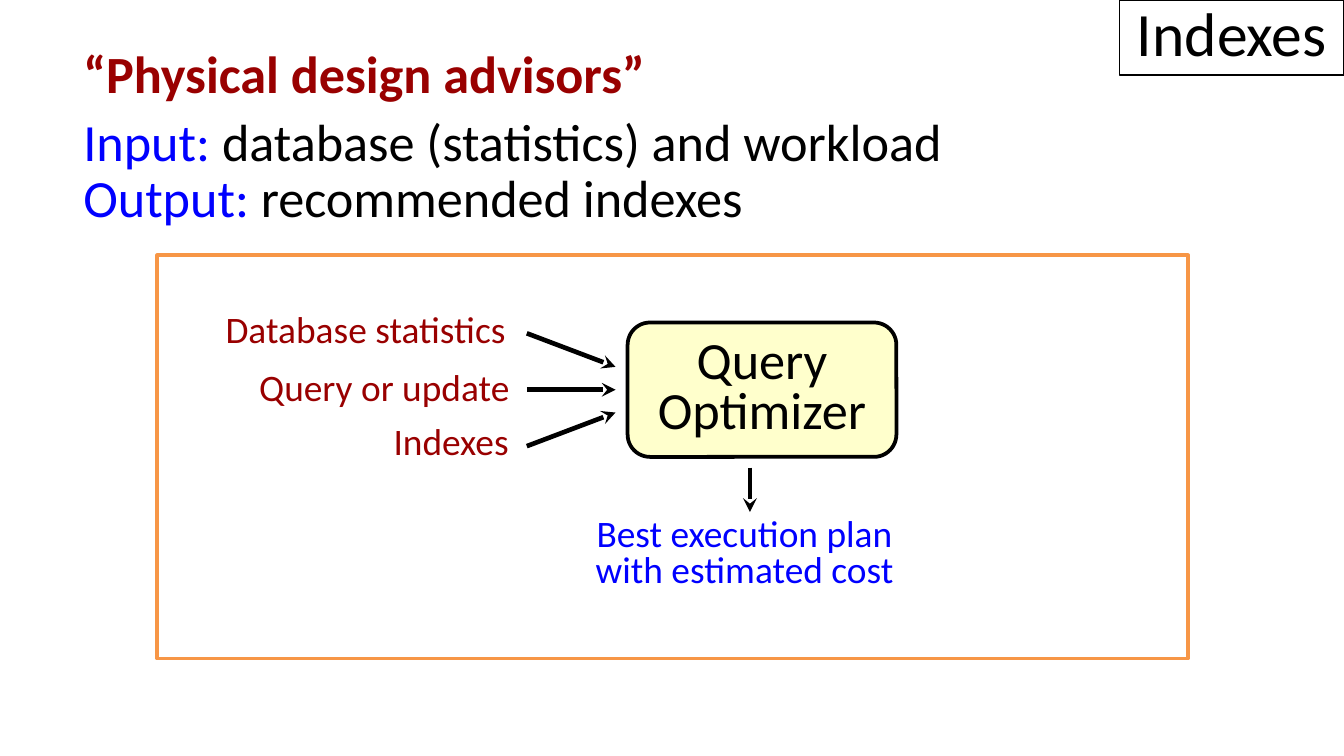
from dataclasses import dataclass

from pptx import Presentation
from pptx.dml.color import RGBColor
from pptx.enum.shapes import MSO_CONNECTOR, MSO_SHAPE
from pptx.enum.text import MSO_ANCHOR, MSO_AUTO_SIZE, PP_ALIGN
from pptx.oxml.ns import qn
from pptx.util import Inches, Pt
from lxml import etree

RECT, ROUND = MSO_SHAPE.RECTANGLE, MSO_SHAPE.ROUNDED_RECTANGLE
STRAIGHT = MSO_CONNECTOR.STRAIGHT
LEFT, CENTER = PP_ALIGN.LEFT, PP_ALIGN.CENTER
MIDDLE, BOTTOM = MSO_ANCHOR.MIDDLE, MSO_ANCHOR.BOTTOM
NO_FIT = MSO_AUTO_SIZE.NONE


@dataclass(frozen=True)
class Theme:
    font: str = "Calibri"
    black: str = "000000"
    red: str = "990000"
    blue: str = "0000FF"
    cream: str = "FFFFCC"
    orange: str = "F79646"
    title: int = 33
    body: int = 28
    label: int = 20


class Page:
    def __init__(self, slide, theme):
        self.slide, self.theme = slide, theme

    def place(self, shape, box):
        shape.left, shape.top, shape.width, shape.height = map(Inches, box)

    def style(self, para, size, color, align=LEFT, space=1.0):
        font = para.font
        font.name, font.size = self.theme.font, Pt(size)
        font.color.rgb = RGBColor.from_string(color)
        para.alignment, para.line_spacing = align, space

    def border(self, shape, color, width):
        shape.line.color.rgb = RGBColor.from_string(color)
        shape.line.width = Pt(width)

    def title(self, text, box):
        shape = self.slide.shapes.title
        self.place(shape, box)
        self.border(shape, self.theme.black, 0.75)
        frame = shape.text_frame
        frame.text = text
        frame.auto_size, frame.vertical_anchor = NO_FIT, BOTTOM
        self.style(frame.paragraphs[0], self.theme.title, self.theme.black, CENTER)

    def body(self, head, items, box):
        """Write a bold heading, then lines of a blue key and black text."""
        shape = self.slide.placeholders[1]
        self.place(shape, box)
        frame = shape.text_frame
        frame.auto_size = NO_FIT
        frame.text = head
        first = frame.paragraphs[0]
        self.style(first, self.theme.body, self.theme.red, space=0.9)
        first.font.bold = True
        for key, text in items:
            para = frame.add_paragraph()
            self.style(para, self.theme.body, self.theme.black, space=0.9)
            run = para.add_run()
            run.text = key
            run.font.color.rgb = RGBColor.from_string(self.theme.blue)
            para.add_run().text = text
        for para in frame.paragraphs:
            para.space_before = para.space_after = Pt(0)
            self.indent(para)
        first.space_after = Pt(6)

    def indent(self, para):
        """Give a hanging indent without a bullet."""
        props = para._p.get_or_add_pPr()
        props.set("marL", str(Inches(0.3)))
        props.set("indent", str(Inches(-0.2)))
        mark = etree.Element(qn("a:buNone"))
        props.insert_element_before(mark, "a:tabLst", "a:defRPr", "a:extLst")

    def box(self, kind, box, line, fill=None, text=""):
        shape = self.slide.shapes.add_shape(kind, *map(Inches, box))
        shape.shadow.inherit = False
        self.border(shape, line, 2)
        if fill:
            shape.fill.solid()
            shape.fill.fore_color.rgb = RGBColor.from_string(fill)
        else:
            shape.fill.background()
        if text:
            frame = shape.text_frame
            frame.text = text
            frame.word_wrap, frame.vertical_anchor = True, MIDDLE
            self.style(frame.paragraphs[0], self.theme.body, self.theme.black,
                       CENTER, 0.8)

    def label(self, lines, box, color, align=LEFT, space=1.0):
        frame = self.slide.shapes.add_textbox(*map(Inches, box)).text_frame
        frame.word_wrap = True
        frame.text = "\n".join(lines)
        for para in frame.paragraphs:
            self.style(para, self.theme.label, color, align, space)

    def arrow(self, start, end):
        line = self.slide.shapes.add_connector(
            STRAIGHT, *map(Inches, (*start, *end)))
        self.border(line, self.theme.black, 2.5)
        etree.SubElement(line.line._get_or_add_ln(), qn("a:tailEnd"), type="stealth")
        etree.SubElement(line._element.spPr, qn("a:effectLst"))


def main():
    deck = Presentation()
    deck.slide_width = Inches(10)
    deck.slide_height = deck.slide_width * 9 // 16
    theme = Theme()
    page = Page(deck.slides.add_slide(deck.slide_layouts[1]), theme)

    page.title("Indexes", (8.33, 0, 1.67, 0.56))
    page.body("“Physical design advisors”",
              [("Input: ", "database (statistics) and workload"),
               ("Output: ", "recommended indexes")],
              (0.42, 0.31, 9.08, 4.98))

    page.box(ROUND, (4.67, 2.4, 2, 1), theme.black, theme.cream, "Query Optimizer")
    inputs = [("Database statistics", 1.58, 2.23, 2.43),
              ("Query or update", 1.83, 2.66, 2.09),
              ("Indexes", 2.83, 3.06, 1.33)]
    for text, left, top, width in inputs:
        page.label([text], (left, top, width, 0.44), theme.red)
    for step in (-1, 0, 1):
        page.arrow((3.92, 2.9 + 0.42 * step), (4.58, 2.9 + 0.17 * step))

    page.arrow((5.58, 3.48), (5.58, 3.81))
    page.label(["Best execution plan", "with estimated cost"],
               (4.25, 3.81, 2.58, 0.65), theme.blue, CENTER, 0.8)
    page.box(RECT, (1.17, 1.9, 7.67, 3), theme.orange)
    deck.save("out.pptx")


if __name__ == "__main__":
    main()
